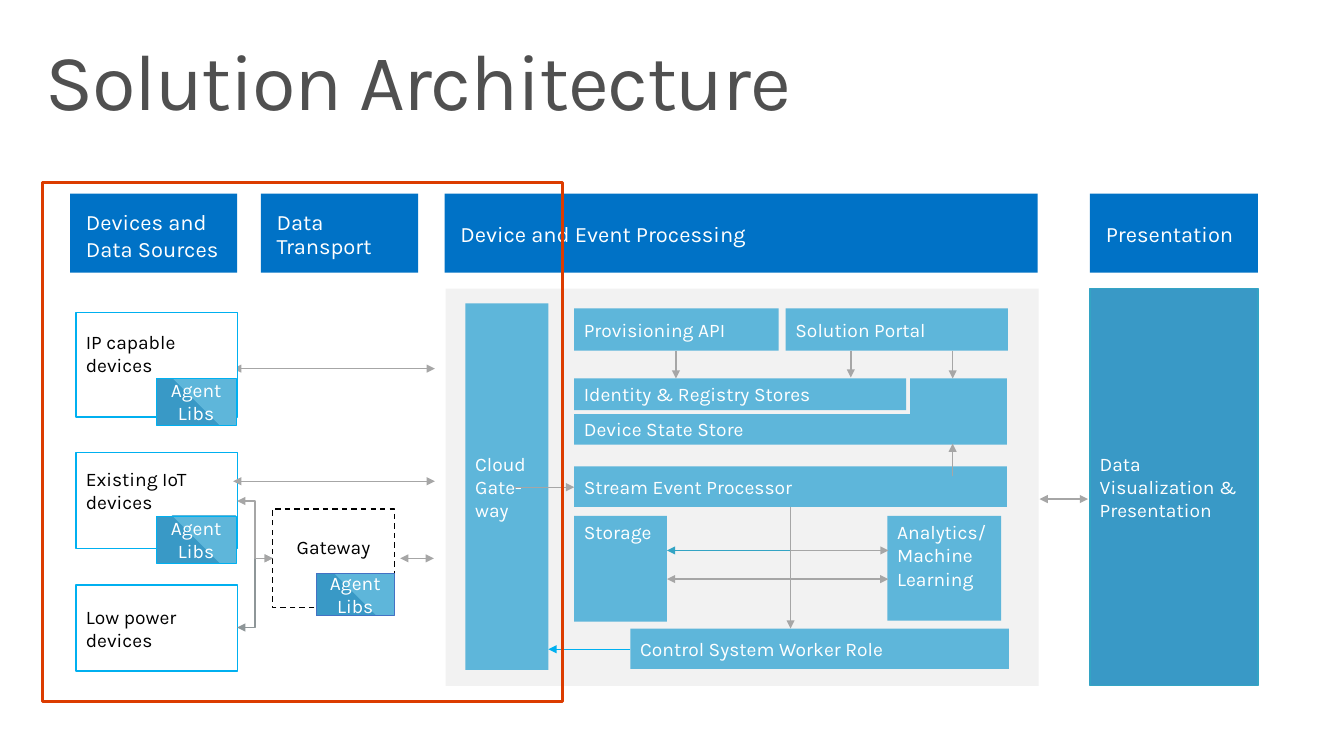
from lxml import etree
from pptx import Presentation
from pptx.dml.color import RGBColor
from pptx.enum.dml import MSO_LINE
from pptx.enum.shapes import MSO_CONNECTOR as Link, MSO_SHAPE as Shape
from pptx.enum.text import MSO_ANCHOR as Anchor, MSO_AUTO_SIZE as AutoSize, PP_ALIGN as Align
from pptx.oxml.ns import qn
from pptx.util import Inches, Pt

WHITE = RGBColor(0xFF, 0xFF, 0xFF)
BLACK = RGBColor(0x00, 0x00, 0x00)
TITLE_GRAY = RGBColor(0x50, 0x50, 0x50)
PANEL_GRAY = RGBColor(0xF2, 0xF2, 0xF2)
ARROW_GRAY = RGBColor(0xA6, 0xA6, 0xA6)
DARK_GRAY = RGBColor(0x8E, 0x96, 0x98)
HEADER_BLUE = RGBColor(0x00, 0x72, 0xC6)
LIGHT_BLUE = RGBColor(0x5E, 0xB6, 0xDA)
MID_BLUE = RGBColor(0x39, 0x99, 0xC6)
TEAL = RGBColor(0x33, 0xA4, 0xC4)
CYAN = RGBColor(0x00, 0xB0, 0xF0)
INDIGO = RGBColor(0x44, 0x72, 0xC4)
RED = RGBColor(0xDC, 0x3C, 0x00)
FONT = "Karla"


def add_box(text, at, fill=None, line=None, width=1, color=WHITE, size=14,
            align=Align.LEFT, spacing=None, outline=None, **frame_format):
    if outline:
        corners = [(Inches(x), Inches(y)) for x, y in outline]
        builder = page.shapes.build_freeform(*corners[0])
        builder.add_line_segments(corners[1:], close=True)
        box = builder.convert_to_shape()
    else:
        box = page.shapes.add_shape(Shape.RECTANGLE, *map(Inches, at))
    box.shadow.inherit = False
    if fill is None:
        box.fill.background()
    else:
        box.fill.solid()
        box.fill.fore_color.rgb = fill
    if line is None:
        box.line.fill.background()
    else:
        box.line.color.rgb = line
        box.line.width = Pt(width)
    if text:
        frame = box.text_frame
        frame.word_wrap = True
        for name, value in {"vertical_anchor": Anchor.MIDDLE, **frame_format}.items():
            setattr(frame, name, value)
        para = frame.paragraphs[0]
        para.text = text
        para.alignment = align
        para.line_spacing = spacing
        for name, value in {"name": FONT, "size": Pt(size)}.items():
            setattr(para.font, name, value)
        para.font.color.rgb = color
    return box


def add_arrow(start, end, color=ARROW_GRAY, both=False, bend=None):
    kind = Link.STRAIGHT if bend is None else Link.ELBOW
    arrow = page.shapes.add_connector(kind, *map(Inches, start + end))
    arrow.line.color.rgb = color
    arrow.line.width = Pt(1)
    properties = arrow._element.spPr
    if bend is not None:
        guides = properties.find(qn("a:prstGeom")).get_or_add_avLst()
        etree.SubElement(guides, qn("a:gd"), name="adj1", fmla=f"val {bend}")
    for tag in ("a:headEnd", "a:tailEnd") if both else ("a:tailEnd",):
        etree.SubElement(arrow.line._get_or_add_ln(), qn(tag), type="triangle")
    etree.SubElement(properties, qn("a:effectLst"))


deck = Presentation()
deck.slide_width, deck.slide_height = Inches(13.6), Inches(7.65)
page = deck.slides.add_slide(deck.slide_layouts[5])

# Title
title = page.shapes.title
title.left, title.top, title.width, title.height = map(Inches, (0.3, 0.32, 13, 1))
frame_format = {"auto_size": AutoSize.NONE, "word_wrap": True, "vertical_anchor": Anchor.TOP,
                "margin_left": Inches(0.16), "margin_right": Inches(0.16),
                "margin_top": Inches(0.1), "margin_bottom": Inches(0.1)}
for name, value in frame_format.items():
    setattr(title.text_frame, name, value)
para = title.text_frame.paragraphs[0]
para.alignment, para.line_spacing = Align.LEFT, 0.9
span = para.add_run()
span.text = "Solution Architecture"
span.font.name, span.font.size = FONT, Pt(58)
span.font.color.rgb = TITLE_GRAY
span.font._element.set("spc", "-100")

# Column headers
headers = [
    ("Devices and Data Sources", 0.71, 1.69, 1.0),
    ("Data Transport", 2.64, 1.59, 0.9),
    ("Device and Event Processing", 4.5, 6, 0.9),
    ("Presentation", 11.03, 1.7, 0.9),
]
for text, left, width, spacing in headers:
    add_box(text, (left, 1.96, width, 0.8), HEADER_BLUE, size=16, spacing=spacing,
            margin_left=Inches(0.16), margin_top=Inches(0.2), margin_bottom=Inches(0.16))

# Devices, with room below the text for the agent tags
add_arrow((2.36, 3.73), (4.4, 3.73), both=True)
devices = [
    ("IP capable devices", 3.16, 1.06, 0.28),
    ("Existing IoT devices", 4.58, 0.97, 0.25),
    ("Low power devices", 5.92, 0.87, 0.05),
]
for text, top, height, bottom in devices:
    add_box(text, (0.77, top, 1.63, height), WHITE, CYAN, 0.85, BLACK,
            margin_bottom=Inches(bottom))
gateway = add_box("Gateway", (2.76, 5.15, 1.23, 1), line=BLACK, color=BLACK,
                  align=Align.CENTER, margin_bottom=Inches(0.28))
gateway.line.dash_style = MSO_LINE.DASH

# Processing panel and its components
add_box("", (4.51, 2.92, 6, 4.02), PANEL_GRAY)
components = [
    ("Cloud Gate-way", (4.71, 3.07, 0.84, 3.71), Anchor.MIDDLE),
    ("Provisioning API", (5.81, 3.12, 2.07, 0.43), Anchor.MIDDLE),
    ("Solution Portal", (7.95, 3.12, 2.25, 0.43), Anchor.MIDDLE),
    ("Identity & Registry Stores", (5.81, 3.83, 3.36, 0.32), Anchor.MIDDLE),
    ("Stream Event Processor", (5.81, 4.72, 4.38, 0.41), Anchor.MIDDLE),
    ("Storage", (5.81, 5.22, 0.94, 1.07), Anchor.TOP),
    ("Analytics/ Machine Learning", (8.98, 5.22, 1.15, 1.06), Anchor.TOP),
    ("Control System Worker Role", (6.38, 6.36, 3.83, 0.41), Anchor.MIDDLE),
]
for text, at, anchor in components:
    add_box(text, at, LIGHT_BLUE, vertical_anchor=anchor)
state_store_outline = [(5.81, 4.19), (9.21, 4.19), (9.21, 3.83),
                       (10.19, 3.83), (10.19, 4.5), (5.81, 4.5)]
add_box("Device State Store", None, LIGHT_BLUE, outline=state_store_outline,
        vertical_anchor=Anchor.BOTTOM, margin_left=Inches(0.1), margin_bottom=Inches(0.04))

# Presentation column
add_box("Data Visualization & Presentation", (11.03, 2.92, 1.7, 4.02), MID_BLUE, TEAL)

# One-way arrows
one_way = [
    ((6.84, 3.55), (6.84, 3.83), ARROW_GRAY),
    ((8.61, 3.55), (8.61, 3.82), ARROW_GRAY),
    ((9.64, 3.55), (9.64, 3.83), ARROW_GRAY),
    ((9.64, 4.82), (9.64, 4.49), ARROW_GRAY),
    ((5.2, 4.93), (5.81, 4.93), ARROW_GRAY),
    ((8, 5.13), (8, 6.36), ARROW_GRAY),
    ((6.38, 6.57), (5.55, 6.57), CYAN),
]
for start, end, color in one_way:
    add_arrow(start, end, color)

# Two-way arrows
for left, right, y in [(2.36, 4.4, 4.87), (4.05, 4.39, 5.65),
                       (6.75, 8.99, 5.86), (10.52, 11.01, 5.05)]:
    add_arrow((left, y), (right, y), both=True)

# Bent arrows: stream processor to its stores, devices to the gateway
for end, color in [((6.75, 5.57), TEAL), ((8.99, 5.57), ARROW_GRAY)]:
    add_arrow((8, 5.13), end, color, bend=0)
for y, color in [(6.35, DARK_GRAY), (5.07, ARROW_GRAY)]:
    add_arrow((2.4, y), (2.76, 5.65), color, both=True, bend=50000)

# Agent tags, split diagonally into two blues
agents = [
    ((1.58, 3.83, 0.81, 0.47), CYAN),
    ((1.58, 5.22, 0.81, 0.48), CYAN),
    ((3.2, 5.8, 0.79, 0.43), INDIGO),
]
for at, line in agents:
    agent = add_box("Agent\vLibs", at, MID_BLUE, line, 0.5, align=Align.CENTER)
    agent.fill.gradient()
    agent.fill.gradient_angle = 45
    for stop, color in zip(agent.fill.gradient_stops, (MID_BLUE, LIGHT_BLUE)):
        stop.position = 0.5
        stop.color.rgb = color

# Highlight frame
add_box("", (0.43, 1.85, 5.26, 5.25), line=RED, width=2.25)

deck.save("out.pptx")
